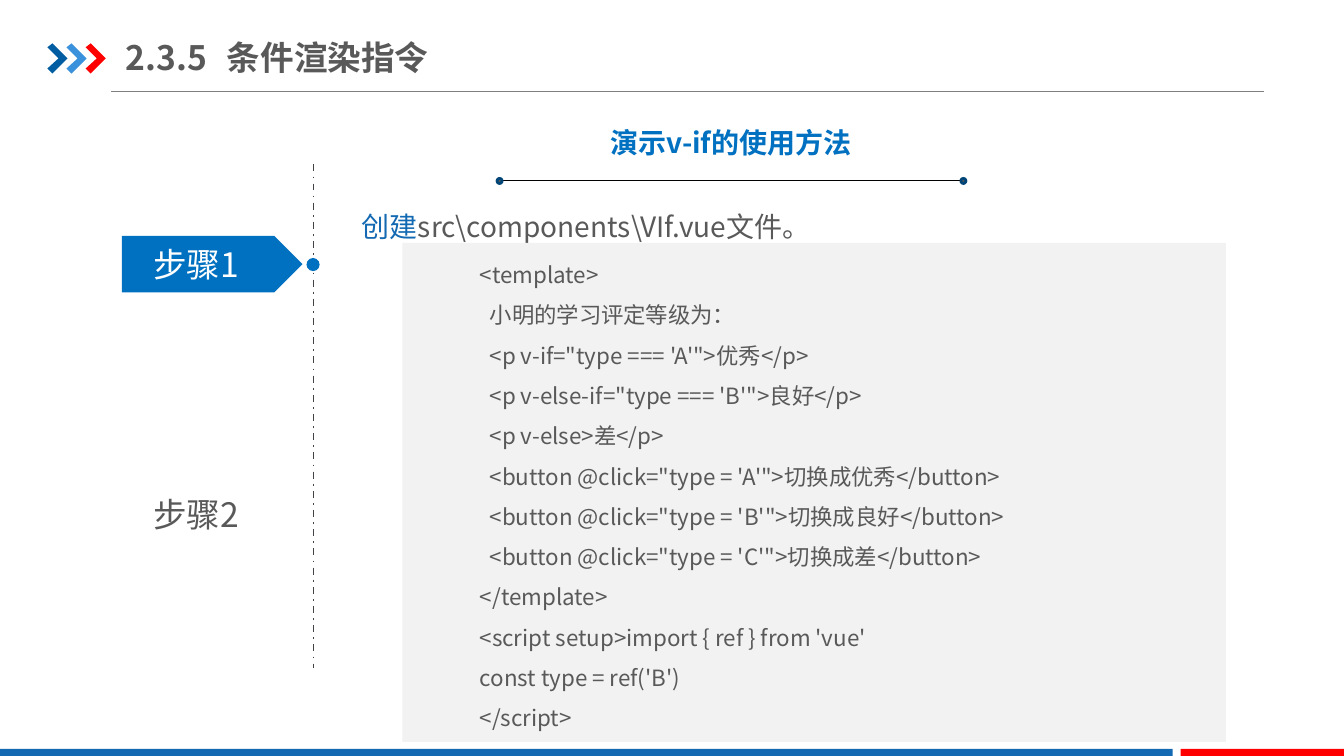
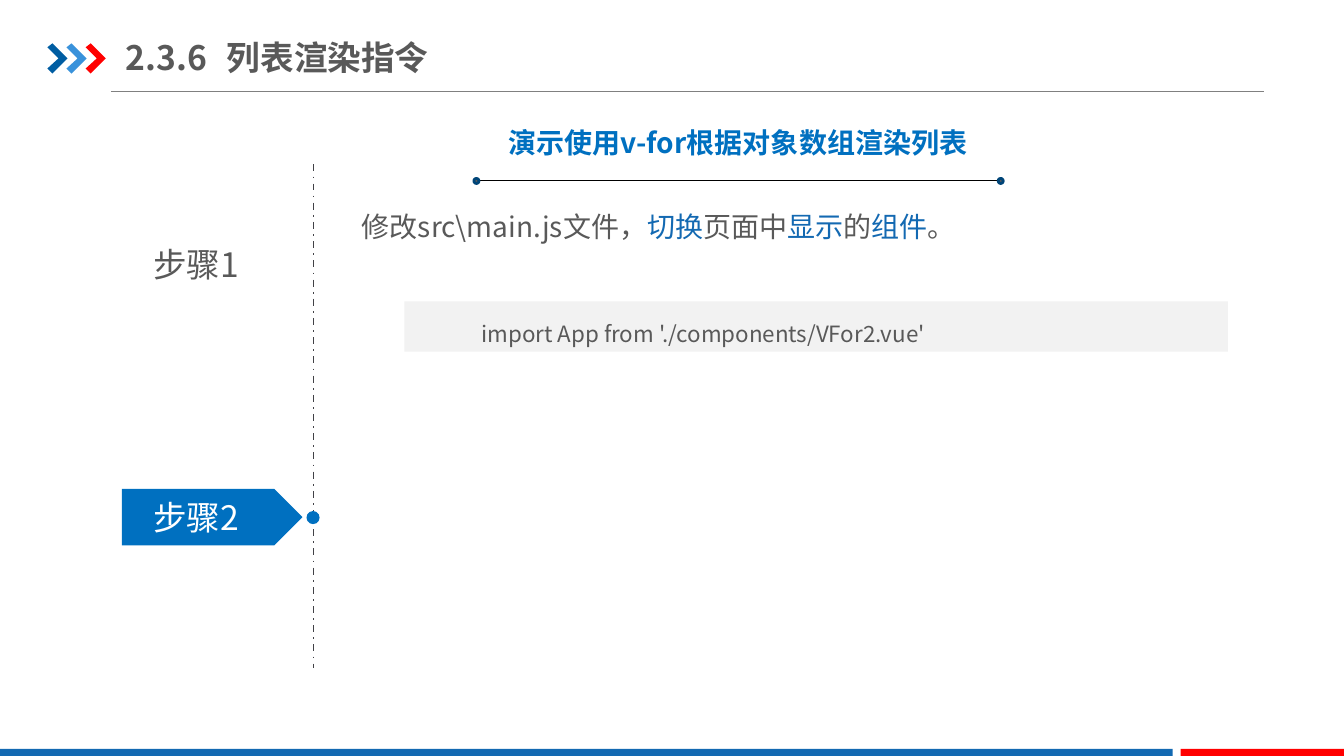
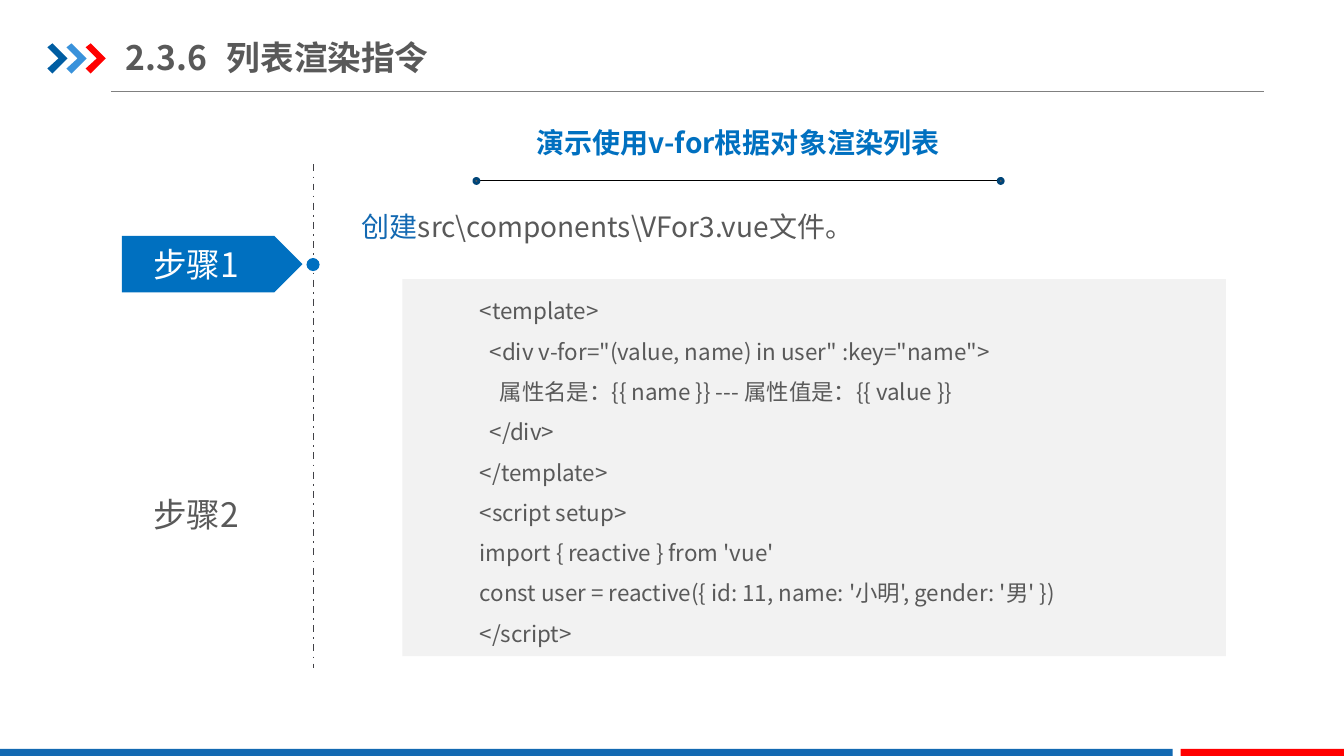
from lxml.etree import SubElement
from pptx import Presentation
from pptx.dml.color import RGBColor
from pptx.enum.dml import MSO_LINE
from pptx.enum.shapes import MSO_CONNECTOR, MSO_SHAPE
from pptx.enum.text import MSO_ANCHOR, MSO_AUTO_SIZE, PP_ALIGN
from pptx.oxml.ns import qn
from pptx.util import Inches, Pt

FONT = "Noto Sans CJK SC"
COLORS = {
    "text": "595959", "white": "FFFFFF", "accent": "0070C0", "blue": "1369B2",
    "red": "FF0000", "navy": "005DA2", "sky": "3992DB", "rule": "808080",
    "axis": "414146", "black": "000000", "dot_edge": "004578", "code": "F2F2F2",
}

VIF_CODE = """<template>
  小明的学习评定等级为：
  <p v-if="type === 'A'">优秀</p>
  <p v-else-if="type === 'B'">良好</p>
  <p v-else>差</p>
  <button @click="type = 'A'">切换成优秀</button>
  <button @click="type = 'B'">切换成良好</button>
  <button @click="type = 'C'">切换成差</button>
</template>
<script setup>import { ref } from 'vue'
const type = ref('B')
</script>"""

VFOR_CODE = """<template>
  <div v-for="(value, name) in user" :key="name">
    属性名是：{{ name }} --- 属性值是：{{ value }}
  </div>
</template>
<script setup>
import { reactive } from 'vue'
const user = reactive({ id: 11, name: '小明', gender: '男' })
</script>"""


def rgb(name):
    return RGBColor.from_string(COLORS[name])


class Deck:
    """Holds the shared style and the slide being drawn."""

    def __init__(self):
        self.prs = Presentation()
        self.prs.slide_width, self.prs.slide_height = Inches(13.33), Inches(7.5)
        self.shapes = None

    def new_slide(self, number, title):
        self.shapes = self.prs.slides.add_slide(self.prs.slide_layouts[6]).shapes
        self.line(1.1, 0.91, 12.54, 0.91, "rule")
        for i, color in enumerate(("navy", "sky", "red")):
            self.chevron(0.47 + 0.19 * i, color)
        self.shape(MSO_SHAPE.RECTANGLE, 0, 7.43, 11.63, 0.09, "blue")
        self.shape(MSO_SHAPE.RECTANGLE, 11.71, 7.43, 1.63, 0.09, "red")
        self.title(f"{number}\t{title}")

    def style(self, r, size, color, bold=False):
        r.font.size, r.font.bold, r.font.name = Pt(size), bold, FONT
        r.font.color.rgb = rgb(color)
        SubElement(r.font._element, qn("a:ea"), typeface=FONT)

    def paint(self, sp, color):
        sp.shadow.inherit = False
        sp.fill.solid()
        sp.fill.fore_color.rgb = rgb(color)
        sp.line.fill.background()
        return sp

    def shape(self, kind, x, y, w, h, color):
        sp = self.shapes.add_shape(kind, Inches(x), Inches(y), Inches(w), Inches(h))
        return self.paint(sp, color)

    def line(self, x1, y1, x2, y2, color, width=0.75):
        cn = self.shapes.add_connector(
            MSO_CONNECTOR.STRAIGHT, Inches(x1), Inches(y1), Inches(x2), Inches(y2))
        cn.line.color.rgb, cn.line.width = rgb(color), Pt(width)
        SubElement(cn._element.spPr, qn("a:effectLst"))
        return cn

    def chevron(self, x, color):
        outline = [(0, 0.47), (0.05, 0.43), (0.2, 0.58), (0.05, 0.73),
                   (0, 0.68), (0.11, 0.58)]
        points = [(Inches(x + dx), Inches(y)) for dx, y in outline]
        builder = self.shapes.build_freeform(*points[0])
        builder.add_line_segments(points[1:], close=True)
        self.paint(builder.convert_to_shape(), color)

    def text(self, x, y, w, h, text, size, color, bold=False, align=PP_ALIGN.CENTER):
        tf = self.shapes.add_textbox(
            Inches(x), Inches(y), Inches(w), Inches(h)).text_frame
        tf.word_wrap = True
        p = tf.paragraphs[0]
        p.text, p.alignment = text, align
        for r in p.runs:
            self.style(r, size, color, bold)
        return tf

    def title(self, text):
        tf = self.text(1.25, 0.29, 4.26, 0.55, text, 24, "text", True, PP_ALIGN.LEFT)
        tf.vertical_anchor = MSO_ANCHOR.MIDDLE
        tf.margin_left = tf.margin_right = 0
        tf.margin_top = tf.margin_bottom = Inches(0.07)
        tabs = SubElement(tf.paragraphs[0]._p.get_or_add_pPr(), qn("a:tabLst"))
        SubElement(tabs, qn("a:tab"), pos=str(Inches(1)), algn="l")

    def heading(self, text, left, right):
        """Centred heading over a line that ends in a dot at left and right."""
        self.text(left, 1.2, right - left, 0.44, text, 20, "accent", True)
        self.line(left, 1.79, right, 1.79, "black")
        for x in (left, right):
            dot = self.shape(MSO_SHAPE.OVAL, x - 0.02, 1.77, 0.05, 0.05, "text")
            dot.line.color.rgb, dot.line.width = rgb("dot_edge"), Pt(2)

    def steps(self, active, *tops):
        """Step labels along the dashed axis, the active one on a tag."""
        self.line(3.11, 1.63, 3.11, 6.63, "axis", 1.25).line.dash_style = MSO_LINE.DASH_DOT
        for n, top in enumerate(tops, 1):
            if n == active:
                self.shape(MSO_SHAPE.OVAL, 3.04, top + 0.19, 0.13, 0.13, "accent")
                self.shape(MSO_SHAPE.PENTAGON, 1.21, top - 0.03, 1.79, 0.56, "accent")
            self.text(1.13, top, 1.63, 0.5, f"步骤{n}", 24,
                      "white" if n == active else "text")

    def instruction(self, text):
        """One sentence; parts between asterisks are blue."""
        tf = self.text(3.49, 1.86, 9.24, 0.61, "", 20, "text")
        p = tf.paragraphs[0]
        p.alignment, p.line_spacing = PP_ALIGN.LEFT, 1.5
        for i, part in enumerate(text.split("*")):
            if part:
                r = p.add_run()
                r.text = part
                self.style(r, 20, "blue" if i % 2 else "text")

    def code(self, x, y, h, source):
        tf = self.shape(MSO_SHAPE.RECTANGLE, x, y, 8.17, h, "code").text_frame
        tf.word_wrap, tf.auto_size = True, MSO_AUTO_SIZE.SHAPE_TO_FIT_TEXT
        tf.vertical_anchor = MSO_ANCHOR.TOP
        tf.text = source
        for p in tf.paragraphs:
            p.alignment, p.line_spacing = PP_ALIGN.LEFT, 1.5
            p._p.get_or_add_pPr().set("marL", str(Inches(0.67)))
            for r in p.runs:
                self.style(r, 16, "text")


def main():
    deck = Deck()

    deck.new_slide("2.3.5", "条件渲染指令")
    deck.steps(1, 2.37, 4.85)
    deck.heading("演示v-if的使用方法", 4.95, 9.55)
    deck.instruction("*创建*src\\components\\VIf.vue文件。")
    deck.code(3.99, 2.41, 4.95, VIF_CODE)

    deck.new_slide("2.3.6", "列表渲染指令")
    deck.steps(2, 2.37, 4.88)
    deck.heading("演示使用v-for根据对象数组渲染列表", 4.72, 9.92)
    deck.instruction("修改src\\main.js文件，*切换*页面中*显示*的*组件*。")
    deck.code(4.01, 2.99, 0.5, "import App from './components/VFor2.vue'")

    deck.new_slide("2.3.6", "列表渲染指令")
    deck.steps(1, 2.37, 4.85)
    deck.heading("演示使用v-for根据对象渲染列表", 4.72, 9.92)
    deck.instruction("*创建*src\\components\\VFor3.vue文件。")
    deck.code(3.99, 2.77, 3.74, VFOR_CODE)

    deck.prs.save("out.pptx")


if __name__ == "__main__":
    main()
